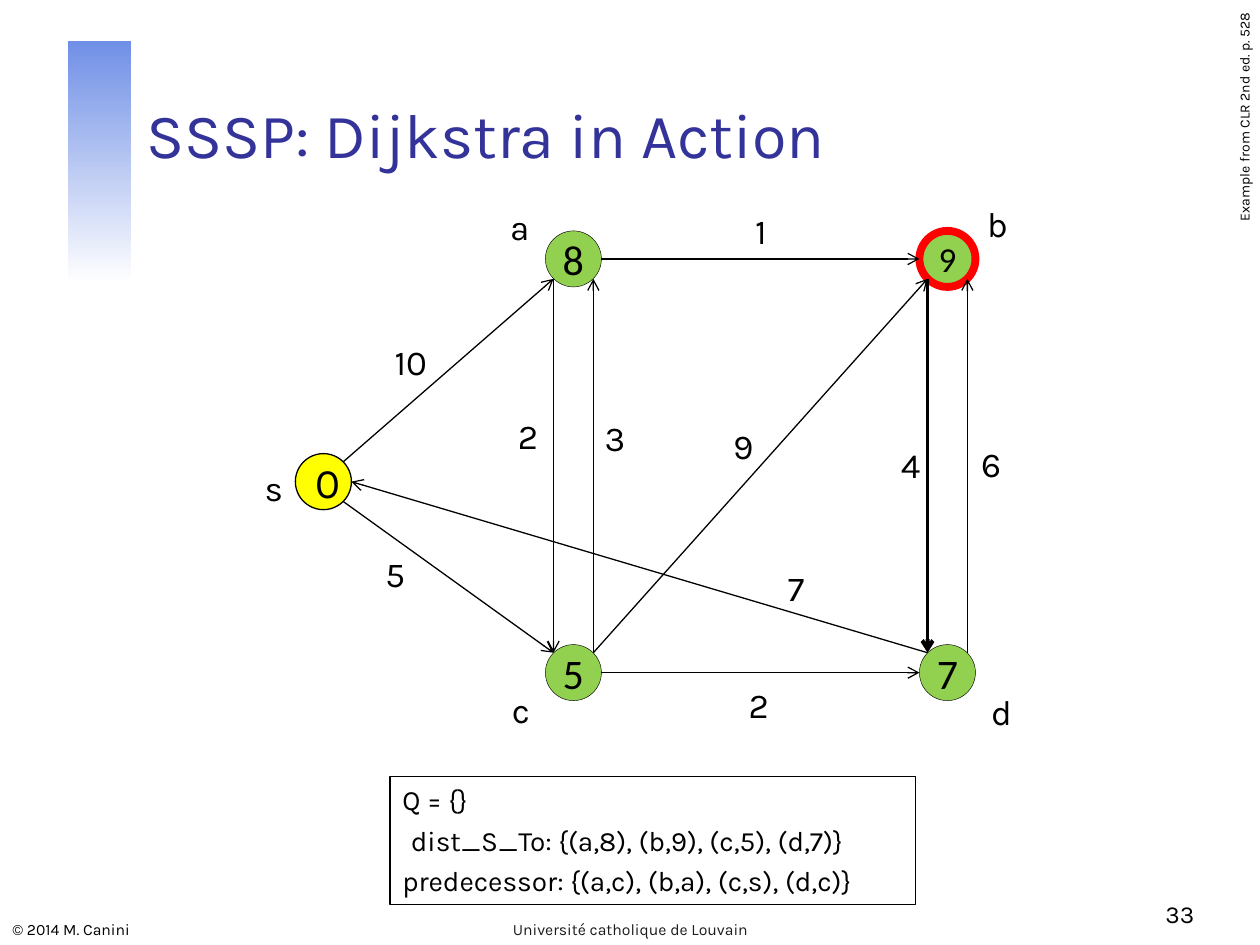
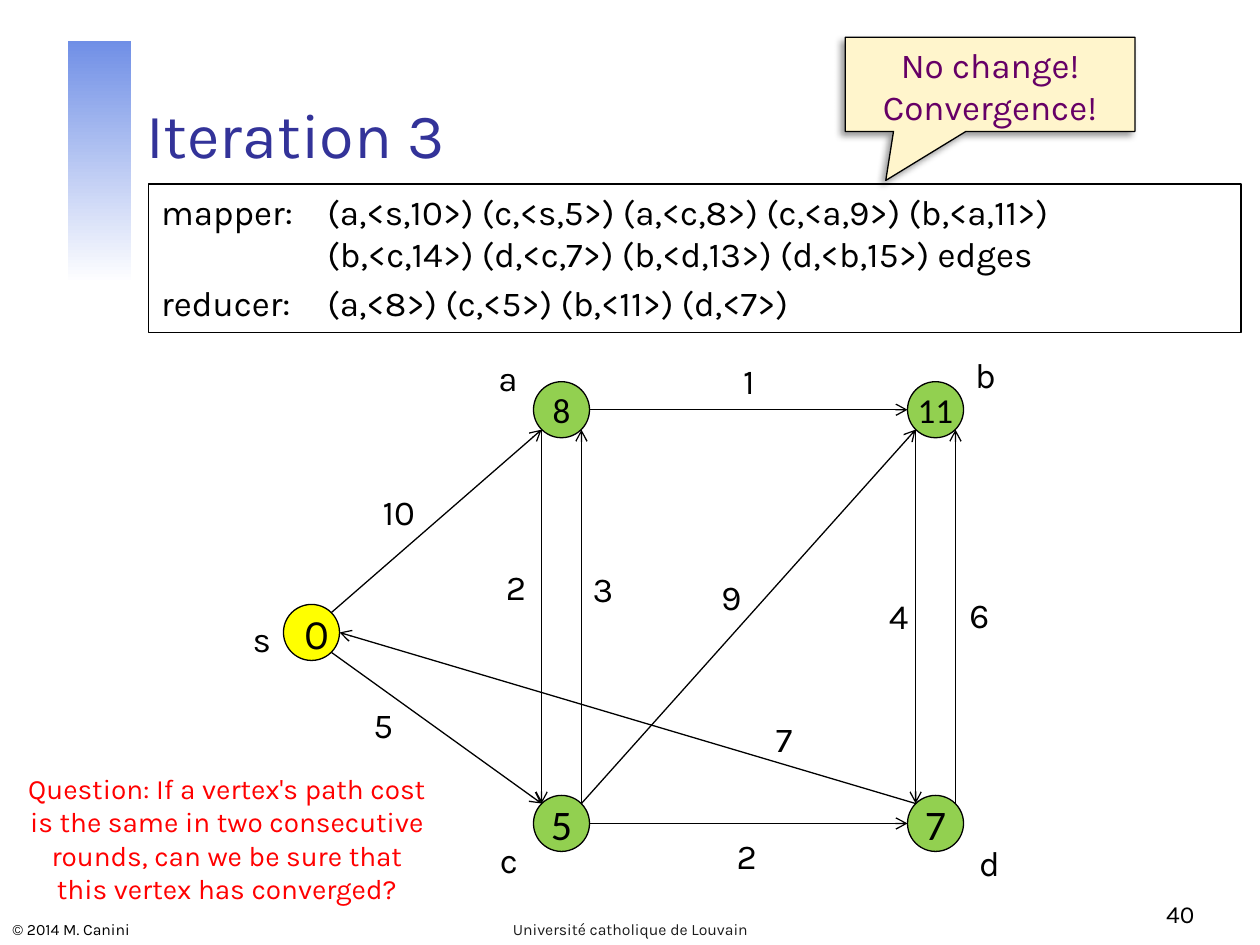
from typing import NamedTuple

from lxml.etree import SubElement
from pptx import Presentation
from pptx.dml.color import RGBColor
from pptx.enum.shapes import MSO_CONNECTOR as Connector, MSO_SHAPE as Preset
from pptx.enum.text import MSO_ANCHOR as Anchor, MSO_AUTO_SIZE as AutoSize, PP_ALIGN as Align
from pptx.oxml.ns import qn
from pptx.util import Cm, Pt

BLACK, WHITE, RED = "000000", "FFFFFF", "FF0000"
TITLE_BLUE, BAND_BLUE, FOOTER_GREY = "333399", "708FE6", "1C1C1C"
SOURCE_YELLOW, SETTLED_GREEN = "FFFF00", "92D050"
CALLOUT_CREAM, CALLOUT_PURPLE = "FFF5CC", "660066"
BODY_FONT, COST_FONT = "Karla", "Calibri"
DIAMETER = 1.13
DIAGONAL = 0.71
EAST, WEST = (1, 0), (-1, 0)
NE, NW = (DIAGONAL, -DIAGONAL), (-DIAGONAL, -DIAGONAL)
SE, SW = (DIAGONAL, DIAGONAL), (-DIAGONAL, DIAGONAL)


class Box(NamedTuple):
    left: float
    top: float
    width: float
    height: float


class Vertex(NamedTuple):
    x: float
    y: float
    letter_x: float
    letter_y: float


class Edge(NamedTuple):
    start: str
    start_side: tuple
    end: str
    end_side: tuple
    weight: str
    weight_x: float
    weight_y: float


class Cost(NamedTuple):
    value: str
    size: int = 24
    ring: str = BLACK
    ring_width: float = 0.75


VERTICES = {
    "s": Vertex(6.52, 9.71, 5.52, 9.91),
    "a": Vertex(11.56, 5.22, 10.48, 4.65),
    "c": Vertex(11.56, 13.56, 10.5, 14.38),
    "b": Vertex(19.1, 5.22, 20.1, 4.6),
    "d": Vertex(19.1, 13.56, 20.18, 14.43),
}

EDGES = [
    Edge("s", NE, "a", SW, "10", 8.28, 7.29),
    Edge("s", SE, "c", NW, "5", 7.95, 11.58),
    Edge("a", EAST, "b", WEST, "1", 15.34, 4.65),
    Edge("c", EAST, "d", WEST, "2", 15.27, 14.22),
    Edge("c", NE, "b", SW, "9", 14.96, 8.99),
    Edge("d", NW, "s", EAST, "7", 16.05, 11.86),
    Edge("c", NE, "a", SE, "3", 12.37, 8.84),
    Edge("a", SW, "c", NW, "2", 10.62, 8.79),
    Edge("d", NE, "b", SE, "6", 19.96, 9.35),
    Edge("b", SW, "d", NW, "4", 18.34, 9.37),
]


def rgb(hex_color: str) -> RGBColor:
    return RGBColor.from_string(hex_color)


def place(box: Box) -> list:
    return [Cm(length) for length in box]


def write(shape, text: str, *, size: float, color: str = BLACK, font: str = BODY_FONT,
          align=Align.LEFT, first_align=None, anchor=Anchor.TOP, wrap: bool = True,
          inset=None, space: float = 4, tab=None) -> None:
    frame = shape.text_frame
    frame.word_wrap = wrap
    frame.auto_size = AutoSize.NONE if wrap else AutoSize.SHAPE_TO_FIT_TEXT
    frame.vertical_anchor = anchor
    if inset is not None:
        frame.margin_left = frame.margin_right = Cm(inset)
        frame.margin_top = frame.margin_bottom = Cm(inset)
    for index, line in enumerate(text.split("\n")):
        paragraph = frame.add_paragraph() if index else frame.paragraphs[0]
        paragraph.text = line
        paragraph.alignment = align if index or first_align is None else first_align
        if index:
            paragraph.space_before = Pt(space)
        if tab is not None:
            stops = SubElement(paragraph._p.get_or_add_pPr(), qn("a:tabLst"))
            SubElement(stops, qn("a:tab"), pos=str(Cm(tab)), algn="l")
        for run in paragraph.runs:
            run.font.name = font
            run.font.size = Pt(size)
            run.font.color.rgb = rgb(color)


def add_text(slide, box: Box, text: str, **style):
    shape = slide.shapes.add_textbox(*place(box))
    write(shape, text, **style)
    return shape


def add_panel(slide, preset, box: Box, *, fill=None, line=BLACK, width: float = 0.75):
    shape = slide.shapes.add_shape(preset, *place(box))
    shape.shadow.inherit = False
    if fill:
        shape.fill.solid()
        shape.fill.fore_color.rgb = rgb(fill)
    else:
        shape.fill.background()
    if line:
        shape.line.color.rgb = rgb(line)
        shape.line.width = Pt(width)
    else:
        shape.line.fill.background()
    return shape


def add_arrow(slide, start: tuple, end: tuple, width: float) -> None:
    arrow = slide.shapes.add_connector(Connector.STRAIGHT, *[Cm(n) for n in (*start, *end)])
    arrow.line.color.rgb = rgb(BLACK)
    arrow.line.width = Pt(width)
    properties = arrow.element.spPr
    SubElement(properties.find(qn("a:ln")), qn("a:tailEnd"), type="arrow")
    SubElement(properties, qn("a:effectLst"))


def add_label(slide, x: float, y: float, text: str, width: float, height: float) -> None:
    box = Box(x - width / 2, y - height / 2, width, height)
    add_text(slide, box, text, size=20, align=Align.CENTER, wrap=False)


def add_frame(presentation, title: str, number: str):
    slide = presentation.slides.add_slide(presentation.slide_layouts[6])
    slide.background.fill.solid()
    slide.background.fill.fore_color.rgb = rgb(WHITE)
    band = add_panel(slide, Preset.RECTANGLE, Box(1.37, 0.82, 1.27, 4.9), line=None)
    band.fill.gradient()
    band.fill.gradient_angle = 270
    for stop, color in zip(band.fill.gradient_stops, (BAND_BLUE, WHITE)):
        stop.color.rgb = rgb(color)
    add_text(slide, Box(0, 18.34, 7.67, 0.71), "© 2014 M. Canini", size=9, anchor=Anchor.BOTTOM)
    add_text(slide, Box(8.69, 18.34, 8.03, 0.71), "Université catholique de Louvain",
             size=9, color=FOOTER_GREY, align=Align.CENTER, anchor=Anchor.BOTTOM)
    add_text(slide, Box(19.05, 17.58, 5.28, 1.27), number,
             size=14, align=Align.RIGHT, anchor=Anchor.BOTTOM)
    add_text(slide, Box(2.7, 0.84, 21.64, 2.74), title,
             size=36, color=TITLE_BLUE, anchor=Anchor.BOTTOM)
    return slide


def add_graph(slide, costs: dict, dx: float = 0, dy: float = 0, bold_edge: str = "") -> None:
    radius = DIAMETER / 2

    def rim(name: str, side: tuple) -> tuple:
        vertex = VERTICES[name]
        return vertex.x + dx + side[0] * radius, vertex.y + dy + side[1] * radius

    for name, vertex in VERTICES.items():
        cost = costs[name]
        is_source = name == "s"
        circle = add_panel(slide, Preset.OVAL, Box(*rim(name, (-1, -1)), DIAMETER, DIAMETER),
                           fill=SOURCE_YELLOW if is_source else SETTLED_GREEN,
                           line=cost.ring, width=cost.ring_width)
        write(circle, cost.value, size=cost.size, font=BODY_FONT if is_source else COST_FONT,
              align=Align.CENTER, anchor=Anchor.MIDDLE, inset=None if is_source else 0)
        add_label(slide, vertex.letter_x + dx, vertex.letter_y + dy, name, 0.9, 1.27)
    for edge in EDGES:
        width = 2.25 if edge.start + edge.end == bold_edge else 0.75
        add_arrow(slide, rim(edge.start, edge.start_side), rim(edge.end, edge.end_side), width)
        add_label(slide, edge.weight_x + dx, edge.weight_y + dy, edge.weight,
                  0.5 + 0.36 * len(edge.weight), 1.12)


def build_dijkstra(presentation) -> None:
    slide = add_frame(presentation, "SSSP: Dijkstra in Action", "33")
    costs = {
        "s": Cost("0"),
        "a": Cost("8", ring_width=0.25),
        "b": Cost("9", size=20, ring=RED, ring_width=4.5),
        "c": Cost("5", ring_width=0.25),
        "d": Cost("7", ring_width=0.25),
    }
    add_graph(slide, costs, bold_edge="bd")
    state = add_panel(slide, Preset.RECTANGLE, Box(7.86, 15.65, 10.6, 2.58))
    write(state, "Q = {}\ndist_S_To: {(a,8), (b,9), (c,5), (d,7)}\n"
          "predecessor: {(a,c), (b,a), (c,s), (d,c)}",
          size=16, align=Align.CENTER, first_align=Align.LEFT, wrap=False)
    credit = add_text(slide, Box(21.23, 3.56, 7.72, 0.61), "Example from CLR 2nd ed. p. 528",
                      size=8, align=Align.RIGHT)
    credit.rotation = 270


def build_iteration(presentation) -> None:
    slide = add_frame(presentation, "Iteration 3", "40")
    rounds = add_panel(slide, Preset.RECTANGLE, Box(3, 3.71, 22.02, 3))
    write(rounds, "mapper:\t(a,<s,10>) (c,<s,5>) (a,<c,8>) (c,<a,9>) (b,<a,11>)"
          "\v\t(b,<c,14>) (d,<c,7>) (b,<d,13>) (d,<b,15>) edges\n"
          "reducer:\t(a,<8>) (c,<5>) (b,<11>) (d,<7>)", size=20, tab=3.35)
    callout = add_panel(slide, Preset.RECTANGULAR_CALLOUT, Box(17.04, 0.75, 5.84, 1.9),
                        fill=CALLOUT_CREAM)
    callout.adjustments[0] = -0.36
    callout.adjustments[1] = 1.02
    shadow = SubElement(callout.element.spPr.find(qn("a:effectLst")), qn("a:outerShdw"),
                        blurRad=str(Pt(4)), dist=str(Pt(3)), dir="8100000",
                        algn="tr", rotWithShape="0")
    shade = SubElement(shadow, qn("a:srgbClr"), val=BLACK)
    SubElement(shade, qn("a:alpha"), val="40000")
    write(callout, "No change! Convergence!", size=20, color=CALLOUT_PURPLE, align=Align.CENTER)
    add_text(slide, Box(0.28, 15.42, 8.59, 3),
             "Question: If a vertex's path cost\vis the same in two consecutive\v"
             "rounds, can we be sure that\vthis vertex has converged?",
             size=16, color=RED, align=Align.CENTER, wrap=False)
    costs = {"s": Cost("0"), "a": Cost("8", size=20), "b": Cost("11", size=20),
             "c": Cost("5"), "d": Cost("7")}
    add_graph(slide, costs, dx=-0.24, dy=3.04)


def main() -> None:
    presentation = Presentation()
    presentation.slide_width = Cm(25.4)
    presentation.slide_height = Cm(19.05)
    build_dijkstra(presentation)
    build_iteration(presentation)
    presentation.save("out.pptx")


if __name__ == "__main__":
    main()
